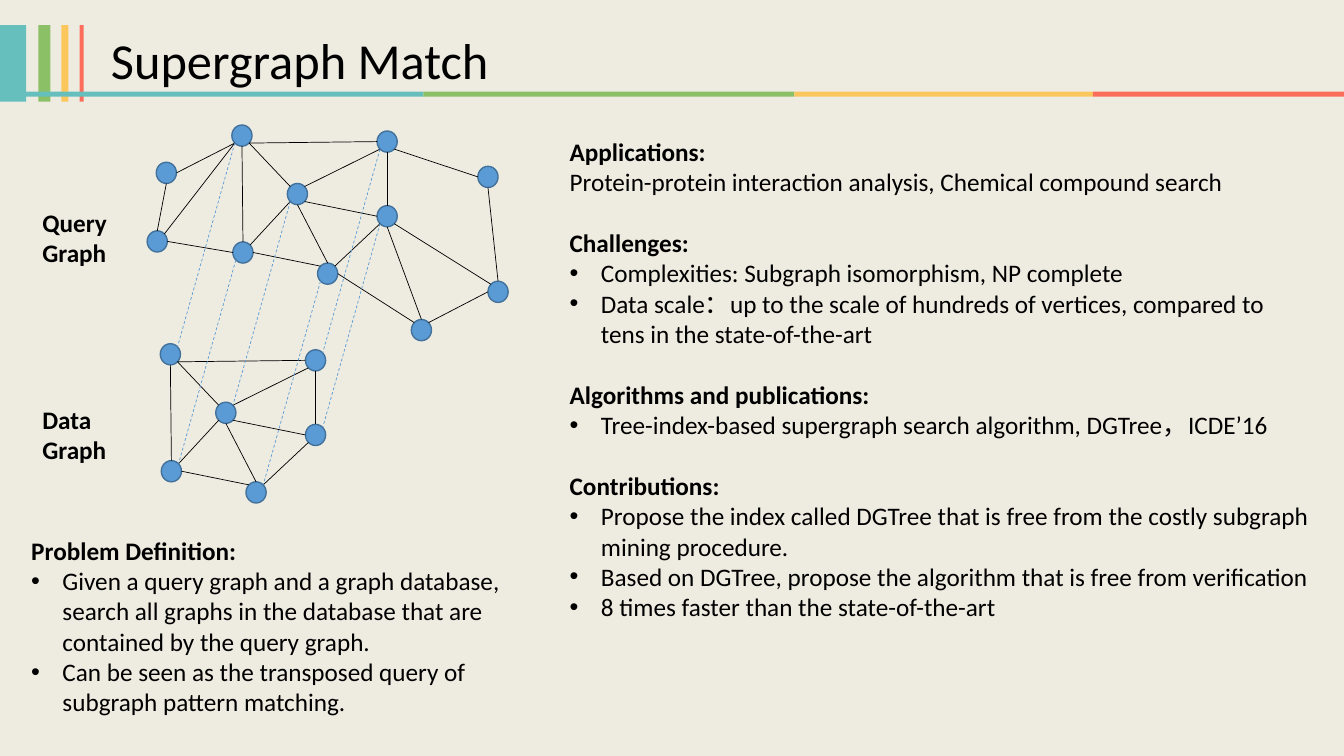
from dataclasses import dataclass

from lxml import etree
from pptx import Presentation
from pptx import util as u
from pptx.dml.color import RGBColor
from pptx.enum import dml, shapes, text
from pptx.oxml import ns


@dataclass(frozen=True)
class Theme:
    font: str = "Calibri"
    title: int = 36
    body: int = 18
    gap: int = 22
    ink: str = "000000"
    background: str = "EEECE1"
    accents: tuple = ("66BFBC", "8CC066", "FBC75D", "FC6E5B")
    node: str = "5B9BD5"
    node_line: str = "42719B"


THEME = Theme()
NODE_W, NODE_H = 0.2, 0.21
DATA_SHIFT = (-0.71, 2.17)

CORE_NODES = {
    "F": (0.84, 0), "G": (1.39, 0.58), "H": (0.85, 1.16),
    "I": (2.28, 0.06), "J": (2.28, 0.8), "K": (1.69, 1.37),
}
OUTER_NODES = {
    "A": (0.09, 0.37), "B": (0, 1.05), "C": (2.62, 1.93),
    "D": (3.28, 0.41), "E": (3.38, 1.55),
}
CORE_EDGES = [
    "F.SE I.W", "H.N F.S", "H.NE G.SW", "F.SE G.NW", "I.SW G.NE",
    "K.N G.S", "J.W G.SE", "H.E K.NW", "I.S J.N", "K.NE J.SW",
]
OUTER_EDGES = [
    "A.S B.N", "A.E F.SW", "B.E H.W", "B.NE F.SW", "I.SE D.W",
    "D.S E.N", "J.SE E.NW", "J.S C.N", "K.E C.NW", "C.NE E.W",
]

DEFINITION = [
    ("Problem Definition:", "head"),
    ("Given a query graph and a graph database, search all graphs in the "
     "database that are contained by the query graph.", "item"),
    ("Can be seen as the transposed query of subgraph pattern matching.", "item"),
]
DETAILS = [
    ("Applications:", "head"),
    ("Protein-protein interaction analysis, Chemical compound search", "plain"),
    ("Challenges:", "head"),
    ("Complexities: Subgraph isomorphism, NP complete", "item"),
    ("Data scale：up to the scale of hundreds of vertices, compared to tens "
     "in the state-of-the-art", "item"),
    ("Algorithms and publications:", "head"),
    ("Tree-index-based supergraph search algorithm, DGTree，ICDE’16", "item"),
    ("Contributions:", "head"),
    ("Propose the index called DGTree that is free from the costly subgraph "
     "mining procedure.", "item"),
    ("Based on DGTree, propose the algorithm that is free from verification", "item"),
    ("8 times faster than the state-of-the-art", "item"),
]


def rgb(color):
    return RGBColor.from_string(color)


def place(sp, box):
    sp.left, sp.top, sp.width, sp.height = (u.Inches(v) for v in box)


def set_frame(tf, wrap=True, anchor=text.MSO_ANCHOR.TOP):
    tf.auto_size = text.MSO_AUTO_SIZE.NONE
    tf.word_wrap = wrap
    tf.vertical_anchor = anchor
    tf.margin_left = tf.margin_right = u.Inches(0.05)
    tf.margin_top = tf.margin_bottom = u.Inches(0.05)


def write(tf, content, first=False, size=THEME.body, bold=False, bullet=False, before=0):
    p = tf.paragraphs[0] if first else tf.add_paragraph()
    p.alignment = text.PP_ALIGN.LEFT
    p.space_before = u.Pt(0 if first else before)
    pPr = p._p.get_or_add_pPr()
    indent = u.Inches(0.31) if bullet else 0
    pPr.set("marL", str(indent))
    pPr.set("indent", str(-indent))
    if bullet:
        etree.SubElement(pPr, ns.qn("a:buFont")).set("typeface", "Arial")
        etree.SubElement(pPr, ns.qn("a:buChar")).set("char", "•")
    else:
        etree.SubElement(pPr, ns.qn("a:buNone"))
    r = p.add_run()
    r.text = content
    r.font.name, r.font.size, r.font.bold = THEME.font, u.Pt(size), bold
    r.font.color.rgb = rgb(THEME.ink)


def add_filled(s, kind, box, fill, line=None):
    sp = s.shapes.add_shape(kind, *(u.Inches(v) for v in box))
    sp.shadow.inherit = False
    sp.fill.solid()
    sp.fill.fore_color.rgb = rgb(fill)
    if line:
        sp.line.color.rgb = rgb(line)
        sp.line.width = u.Pt(1)
    else:
        sp.line.fill.background()


def add_line(s, start, end, color=THEME.ink, dashed=False):
    line = s.shapes.add_connector(
        shapes.MSO_CONNECTOR.STRAIGHT, *(u.Inches(v) for v in (*start, *end)))
    line.line.color.rgb = rgb(color)
    line.line.width = u.Pt(0.5)
    if dashed:
        line.line.dash_style = dml.MSO_LINE.DASH
    etree.SubElement(line._element.spPr, ns.qn("a:effectLst"))


def add_header(s, box):
    x, y, w, h = box
    stripes = [(0, 0.26), (0.38, 0.12), (0.61, 0.07), (0.79, 0.04)]
    edges = [0.01, 4.2, 7.88, 10.84, w]
    bands = [(a, b - a) for a, b in zip(edges, edges[1:])]
    for parts, top, height in ((stripes, y, h), (bands, y + 0.66, 0.05)):
        for (left, width), color in zip(parts, THEME.accents):
            add_filled(s, shapes.MSO_SHAPE.RECTANGLE, (x + left, top, width, height), color)
    title = s.shapes.title
    place(title, (x + 1.05, y - 0.02, 11.23, 0.71))
    set_frame(title.text_frame, anchor=text.MSO_ANCHOR.MIDDLE)
    write(title.text_frame, "Supergraph Match", first=True, size=THEME.title)


def add_sections(body, box, paragraphs):
    place(body, box)
    set_frame(body.text_frame)
    for i, (content, kind) in enumerate(paragraphs):
        head = kind == "head"
        write(body.text_frame, content, first=i == 0, bold=head,
              bullet=kind == "item", before=THEME.gap if head else 0)


def site(node, side):
    dx = ("E" in side) - ("W" in side)
    dy = ("S" in side) - ("N" in side)
    reach = 0.71 if dx and dy else 1
    return (node[0] + NODE_W / 2 * (1 + dx * reach),
            node[1] + NODE_H / 2 * (1 + dy * reach))


def add_graph(s, origin, nodes, edges):
    placed = {n: (origin[0] + x, origin[1] + y) for n, (x, y) in nodes.items()}
    for x, y in placed.values():
        add_filled(s, shapes.MSO_SHAPE.OVAL, (x, y, NODE_W, NODE_H),
                   THEME.node, THEME.node_line)
    for edge in edges:
        ends = (end.split(".") for end in edge.split())
        add_line(s, *(site(placed[n], side) for n, side in ends))
    return placed


def add_label(s, box, lines):
    tb = s.shapes.add_textbox(*(u.Inches(v) for v in box))
    set_frame(tb.text_frame, wrap=False)
    for i, content in enumerate(lines):
        write(tb.text_frame, content, first=i == 0, bold=True)


def add_diagram(s, box):
    x, y = box[:2]
    query = add_graph(s, (x + 1.09, y), CORE_NODES | OUTER_NODES, CORE_EDGES + OUTER_EDGES)
    data = add_graph(s, (x + 1.09 + DATA_SHIFT[0], y + DATA_SHIFT[1]), CORE_NODES, CORE_EDGES)
    for name in CORE_NODES:
        add_line(s, site(query[name], "SW"), site(data[name], "NE"), THEME.node, dashed=True)
    add_label(s, (x, y + 0.77, 0.75, 0.71), ("Query", "Graph"))
    add_label(s, (x, y + 2.72, 0.75, 0.71), ("Data", "Graph"))


def main():
    prs = Presentation()
    prs.slide_width, prs.slide_height = u.Inches(13.33), u.Inches(7.5)
    s = prs.slides.add_slide(prs.slide_layouts[3])
    s.background.fill.solid()
    s.background.fill.fore_color.rgb = rgb(THEME.background)
    add_header(s, (0, 0.25, 13.33, 0.76))
    add_sections(s.placeholders[2], (5.6, 1.3, 7.45, 5.25), DETAILS)
    add_sections(s.placeholders[1], (0.26, 5.26, 5.33, 1.92), DEFINITION)
    add_diagram(s, (0.37, 1.24, 4.67, 3.75))
    prs.save("out.pptx")


if __name__ == "__main__":
    main()
